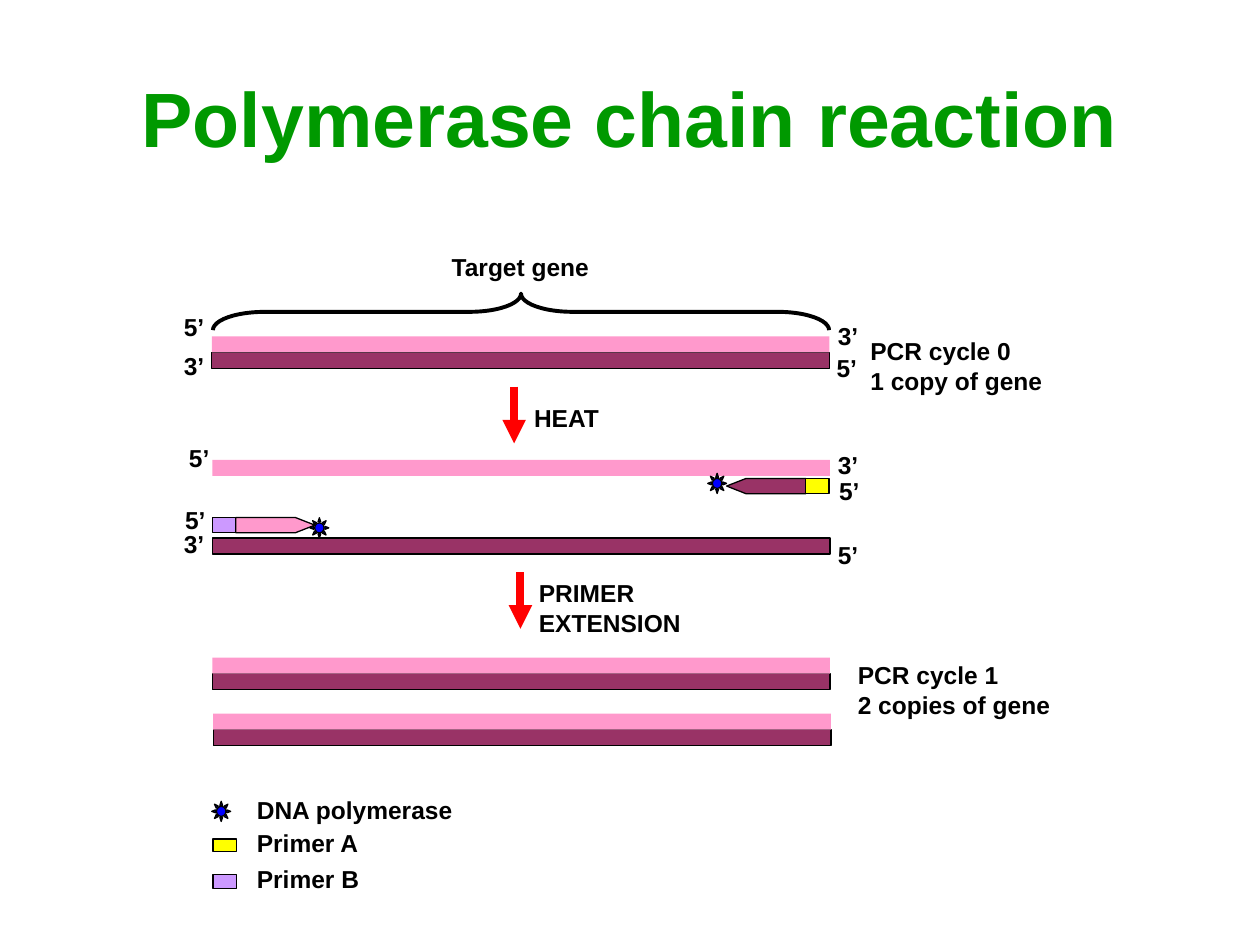
from lxml.etree import SubElement
from pptx import Presentation
from pptx.dml.color import RGBColor
from pptx.enum.shapes import MSO_CONNECTOR, MSO_SHAPE
from pptx.enum.text import MSO_ANCHOR, PP_ALIGN
from pptx.oxml.ns import qn
from pptx.util import Pt

PINK, PURPLE = "FF99CC", "993366"
YELLOW, LILAC, BLUE = "FFFF00", "CC99FF", "0000FF"
BLACK, RED, GREEN = "000000", "FF0000", "009900"

STRAND_LEFT, STRAND_WIDTH, STRAND_HEIGHT = 121.3, 353, 9.2
PRIMER_WIDTH, PRIMER_HEIGHT = 13.4, 8.8


def color(hex_code):
    return RGBColor.from_string(hex_code)


class Diagram:
    """Holds the text style and the slide being drawn."""

    font_name = "Arial"
    label_size = 14

    def __init__(self, slide):
        self.slide = slide
        self.shapes = slide.shapes

    def add_text(self, paragraph, text, size, ink, align):
        paragraph.alignment = align
        for index, line in enumerate(text.split("\n")):
            if index:
                paragraph.add_line_break()
            run = paragraph.add_run()
            run.text = line
            run.font.name = self.font_name
            run.font.size = Pt(size)
            run.font.bold = True
            run.font.color.rgb = color(ink)

    def title(self, text, left, top, width, height):
        heading = self.shapes.title
        heading.left, heading.top = Pt(left), Pt(top)
        heading.width, heading.height = Pt(width), Pt(height)
        heading.text_frame.vertical_anchor = MSO_ANCHOR.MIDDLE
        self.add_text(heading.text_frame.paragraphs[0], text, 44, GREEN, PP_ALIGN.CENTER)

    def label(self, text, left, top, width, height, align=PP_ALIGN.LEFT):
        box = self.shapes.add_textbox(Pt(left), Pt(top), Pt(width), Pt(height))
        box.text_frame.word_wrap = True
        self.add_text(box.text_frame.paragraphs[0], text, self.label_size, BLACK, align)

    def end_label(self, text, left, top):
        self.label(text, left, top, 41.8, 31.7, PP_ALIGN.CENTER)

    def paint(self, shape, fill, outline=BLACK, weight=0.75):
        shape.shadow.inherit = False
        if fill:
            shape.fill.solid()
            shape.fill.fore_color.rgb = color(fill)
        else:
            shape.fill.background()
        if outline:
            shape.line.color.rgb = color(outline)
            shape.line.width = Pt(weight)
        else:
            shape.line.fill.background()

    def preset(self, kind, left, top, width, height, fill, outline=BLACK, weight=0.75):
        shape = self.shapes.add_shape(kind, Pt(left), Pt(top), Pt(width), Pt(height))
        self.paint(shape, fill, outline, weight)
        return shape

    def strand(self, top, fill, left=STRAND_LEFT):
        outline = BLACK if fill == PURPLE else None
        self.preset(MSO_SHAPE.RECTANGLE, left, top, STRAND_WIDTH, STRAND_HEIGHT, fill, outline)

    def duplex(self, top, left=STRAND_LEFT):
        self.strand(top + STRAND_HEIGHT, PURPLE, left)
        self.strand(top, PINK, left)

    def primer(self, left, top, fill, height=PRIMER_HEIGHT):
        self.preset(MSO_SHAPE.RECTANGLE, left, top, PRIMER_WIDTH, height, fill)

    def polymerase(self, left, top):
        self.preset(MSO_SHAPE.SUN, left, top, 10.8, 11.5, BLUE).adjustments[0] = 0.25

    def extension(self, start, top, direction, fill):
        """New strand growing from a primer; direction is 1 (right) or -1 (left)."""
        shoulder, tip = start + 34 * direction, start + 45.2 * direction
        bottom = top + PRIMER_HEIGHT
        outline = self.shapes.build_freeform(Pt(start), Pt(top))
        outline.add_line_segments([
            (Pt(shoulder), Pt(top)), (Pt(tip), Pt((top + bottom) / 2)),
            (Pt(shoulder), Pt(bottom)), (Pt(start), Pt(bottom))])
        self.paint(outline.convert_to_shape(), fill)

    def brace(self, center_x, center_y, span, depth):
        brace = self.preset(MSO_SHAPE.LEFT_BRACE, center_x - depth / 2, center_y - span / 2,
                            depth, span, None, BLACK, 2.25)
        brace.adjustments[0] = 1.41
        brace.rotation = 90

    def step_arrow(self, x, top, length=32.4):
        arrow = self.shapes.add_connector(
            MSO_CONNECTOR.STRAIGHT, Pt(x), Pt(top), Pt(x), Pt(top + length))
        arrow.line.color.rgb = color(RED)
        arrow.line.width = Pt(4.5)
        properties = arrow.element.spPr
        SubElement(properties.find(qn("a:ln")), qn("a:tailEnd"), type="triangle")
        SubElement(properties, qn("a:effectLst"))


def main():
    presentation = Presentation()
    presentation.slide_width, presentation.slide_height = Pt(720), Pt(540)
    diagram = Diagram(presentation.slides.add_slide(presentation.slide_layouts[5]))
    diagram.title("Polymerase chain reaction", 36, 21.6, 648, 90)

    # Cycle 0: the target gene
    diagram.label("Target gene", 241.9, 140.4, 110.9, 34.6, PP_ALIGN.CENTER)
    diagram.brace(297.7, 178.2, 352.1, 20.9)
    diagram.duplex(192.2, 121)
    diagram.label("PCR cycle 0\n1 copy of gene", 490.3, 188.6, 124.6, 52.6)

    # Heat separates the strands
    diagram.step_arrow(293.8, 221)
    diagram.label("HEAT", 298.1, 226.8, 67, 26.6)
    diagram.strand(262.8, PINK)
    diagram.strand(307.4, PURPLE)

    # Primers bind and the polymerase extends them
    primer_a_left, primer_a_top = 460.4, 273.4
    diagram.extension(primer_a_left, primer_a_top, -1, PURPLE)
    diagram.polymerase(404.4, 270.5)
    diagram.primer(primer_a_left, primer_a_top, YELLOW)
    primer_b_top = 295.7
    diagram.primer(STRAND_LEFT, primer_b_top, LILAC)
    diagram.extension(STRAND_LEFT + PRIMER_WIDTH, primer_b_top, 1, PINK)
    diagram.polymerase(177.1, 295.9)
    diagram.step_arrow(297.4, 326.9)
    diagram.label("PRIMER\nEXTENSION", 300.8, 326.9, 159.1, 47.5)

    # Cycle 1: two copies
    diagram.duplex(375.8)
    diagram.duplex(407.8, 121.8)
    diagram.label("PCR cycle 1\n2 copies of gene", 483.1, 373.7, 149, 52.6)

    # Strand ends
    for text, left, top in [
            ("5’", 90, 175), ("3’", 90, 197.3), ("3’", 463.7, 180), ("5’", 463, 198),
            ("5’", 92.9, 249.8), ("3’", 463.7, 253.4), ("5’", 464.4, 268.6),
            ("5’", 90.7, 285.1), ("3’", 90, 298.8), ("5’", 463.7, 305.3)]:
        diagram.end_label(text, left, top)

    # Key
    diagram.polymerase(121, 457.9)
    diagram.primer(121.7, 479.5, YELLOW, 7.2)
    diagram.primer(121.7, 499.9, LILAC, 7.9)
    for text, top in [("DNA polymerase", 450.7), ("Primer A", 469.4), ("Primer B", 490.3)]:
        diagram.label(text, 139.7, top, 149, 32.4)

    presentation.save("out.pptx")


if __name__ == "__main__":
    main()
